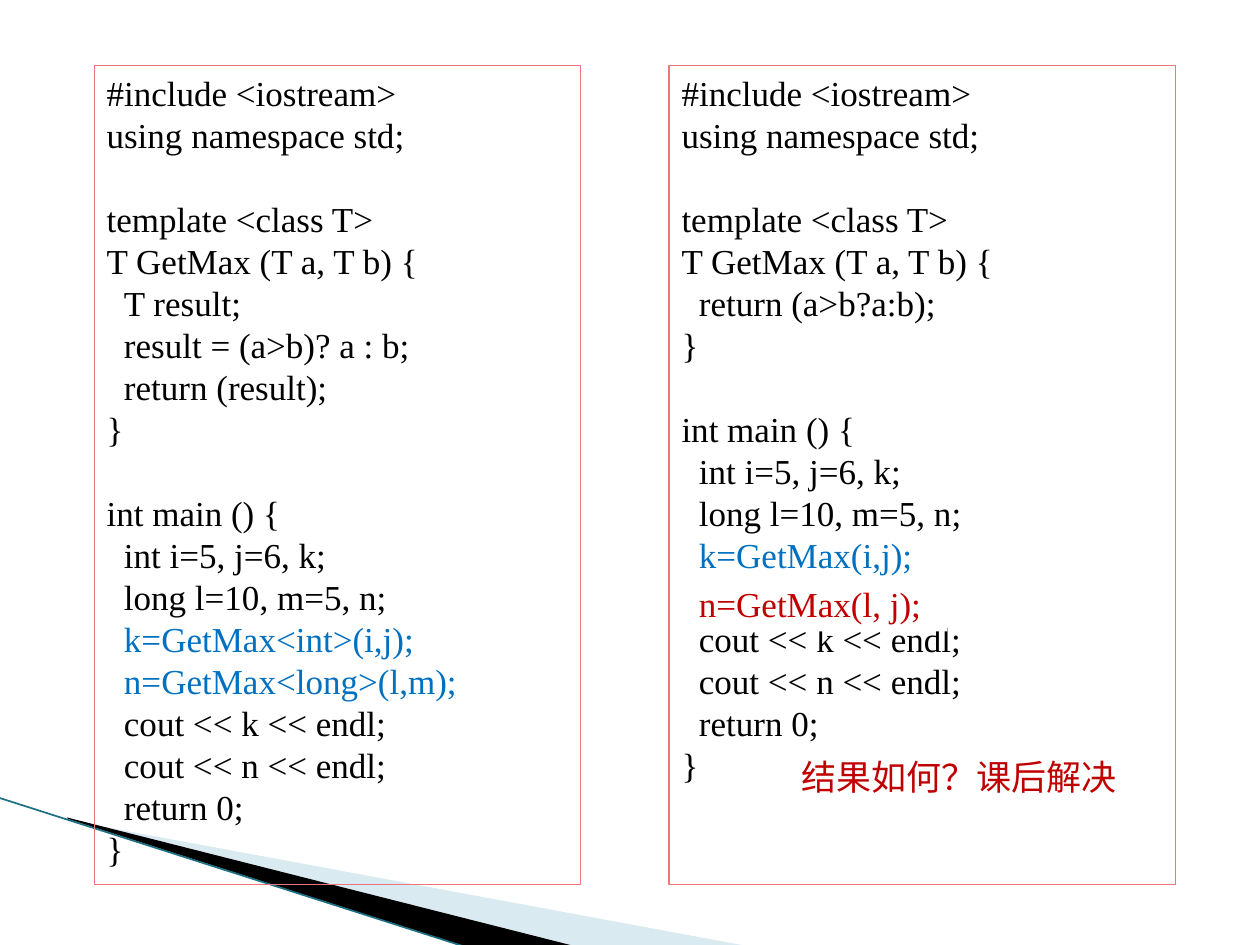
from dataclasses import dataclass

from lxml.etree import SubElement
from pptx import Presentation
from pptx.dml.color import RGBColor
from pptx.enum.shapes import MSO_CONNECTOR, MSO_SHAPE
from pptx.enum.text import MSO_ANCHOR, PP_ALIGN
from pptx.oxml.ns import qn
from pptx.shapes.autoshape import Shape
from pptx.slide import Slide
from pptx.text.text import _Paragraph
from pptx.util import Cm, Pt


@dataclass(frozen=True)
class Theme:
    font: str = "Times New Roman"
    size: float = 20
    leading: float = 24
    indent: float = 0.35
    ink: str = "000000"
    call: str = "0070C0"
    alert: str = "C00000"
    paper: str = "FFFFFF"
    frame: str = "EC767C"
    pale_band: str = "A0CBDC"
    dark_band: str = "000000"
    edge: str = "1B6F82"


THEME = Theme()


@dataclass(frozen=True)
class Line:
    text: str
    indented: bool = False
    skipped: int = 0
    color: str = THEME.ink


@dataclass(frozen=True)
class Panel:
    left: float
    top: float
    width: float
    height: float
    lines: tuple[Line, ...]
    fill: str | None = None
    border: str | None = None


@dataclass(frozen=True)
class Band:
    points: tuple[tuple[float, float], ...]
    color: str
    opacity: int = 100


HEADER = (
    Line("#include <iostream>"),
    Line("using namespace std;"),
    Line("template <class T>", skipped=1),
    Line("T GetMax (T a, T b) {"),
)
MAIN = (
    Line("}"),
    Line("int main () {", skipped=1),
    Line("int i=5, j=6, k;", True),
    Line("long l=10, m=5, n;", True),
)
FOOTER = (
    Line("cout << n << endl;", True),
    Line("return 0;", True),
    Line("}"),
)
EXPLICIT_CODE = (
    *HEADER,
    Line("T result;", True),
    Line("result = (a>b)? a : b;", True),
    Line("return (result);", True),
    *MAIN,
    Line("k=GetMax<int>(i,j);", True, color=THEME.call),
    Line("n=GetMax<long>(l,m);", True, color=THEME.call),
    Line("cout << k << endl;", True),
    *FOOTER,
)
DEDUCED_CODE = (
    *HEADER,
    Line("return (a>b?a:b);", True),
    *MAIN,
    Line("k=GetMax(i,j);", True, color=THEME.call),
    Line("cout << k << endl;", True, skipped=1),
    *FOOTER,
)
MIXED_CALL = (Line("n=GetMax(l, j);", color=THEME.alert),)
QUESTION = (Line("结果如何？课后解决", color=THEME.alert),)

PANELS = (
    Panel(1.9, 1.32, 9.8, 16.51, EXPLICIT_CODE, border=THEME.frame),
    Panel(13.49, 1.32, 10.21, 16.51, DEDUCED_CODE, border=THEME.frame),
    Panel(13.84, 11.61, 5.26, 1.12, MIXED_CALL, fill=THEME.paper),
    Panel(15.9, 15.11, 7.59, 1.12, QUESTION, fill=THEME.paper),
)
BANDS = (
    Band(((1.4, 16.54), (15.11, 19.08), (11.58, 19.08), (1.4, 16.51)),
         THEME.pale_band, 40),
    Band(((1.35, 16.48), (11.61, 19.08), (9.45, 19.1), (1.37, 16.51)),
         THEME.dark_band),
)


def paint(shape: Shape, fill: str | None, border: str | None) -> None:
    shape.shadow.inherit = False
    if fill:
        shape.fill.solid()
        shape.fill.fore_color.rgb = RGBColor.from_string(fill)
    else:
        shape.fill.background()
    if border:
        shape.line.color.rgb = RGBColor.from_string(border)
        shape.line.width = Pt(0.75)
    else:
        shape.line.fill.background()


def write_text(para: _Paragraph, text: str, *, color: str,
               indent: float = 0, space_before: float = 0) -> None:
    para.alignment = PP_ALIGN.LEFT
    para.line_spacing = Pt(THEME.leading)
    para.space_before = Pt(space_before)
    para._p.get_or_add_pPr().set("marL", str(Cm(indent)))
    span = para.add_run()
    span.text = text
    span.font.name = THEME.font
    span.font.size = Pt(THEME.size)
    span.font.color.rgb = RGBColor.from_string(color)


def draw_panel(page: Slide, panel: Panel) -> None:
    box = page.shapes.add_shape(
        MSO_SHAPE.RECTANGLE, Cm(panel.left), Cm(panel.top),
        Cm(panel.width), Cm(panel.height))
    paint(box, panel.fill, panel.border)
    frame = box.text_frame
    frame.word_wrap = True
    frame.vertical_anchor = MSO_ANCHOR.TOP
    for index, line in enumerate(panel.lines):
        para = frame.add_paragraph() if index else frame.paragraphs[0]
        write_text(para, line.text, color=line.color,
                   indent=THEME.indent if line.indented else 0,
                   space_before=line.skipped * THEME.leading)


def draw_band(page: Slide, band: Band) -> None:
    start, *rest = [(Cm(x), Cm(y)) for x, y in band.points]
    builder = page.shapes.build_freeform(*start)
    builder.add_line_segments(rest, close=True)
    shape = builder.convert_to_shape()
    paint(shape, band.color, None)
    if band.opacity < 100:
        color = shape._element.spPr.find(qn("a:solidFill"))[0]
        SubElement(color, qn("a:alpha")).set("val", str(band.opacity * 1000))


def draw_edge(page: Slide) -> None:
    edge = page.shapes.add_connector(
        MSO_CONNECTOR.STRAIGHT, Cm(-0.03), Cm(16.08), Cm(9.42), Cm(19.1))
    edge.line.color.rgb = RGBColor.from_string(THEME.edge)
    edge.line.width = Pt(0.95)
    SubElement(edge._element.spPr, qn("a:effectLst"))


def main() -> None:
    deck = Presentation()
    deck.slide_width, deck.slide_height = Cm(25.4), Cm(19.05)
    page = deck.slides.add_slide(deck.slide_layouts[6])
    for band in BANDS:
        draw_band(page, band)
    draw_edge(page)
    for panel in PANELS:
        draw_panel(page, panel)
    deck.save("out.pptx")


if __name__ == "__main__":
    main()
